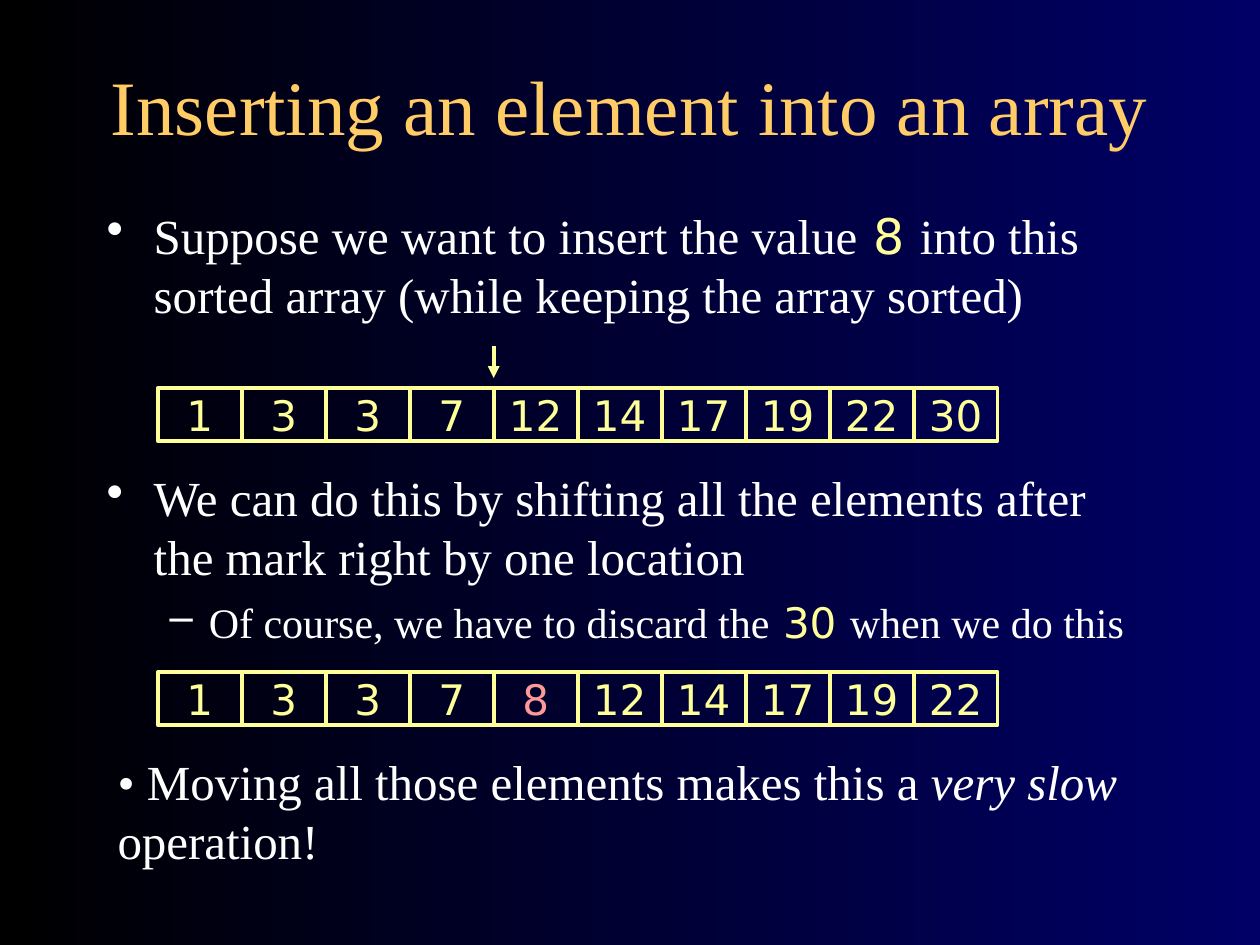
from dataclasses import dataclass

from lxml import etree
from pptx import Presentation
from pptx.dml.color import RGBColor
from pptx.enum.shapes import MSO_CONNECTOR, MSO_SHAPE
from pptx.enum.text import MSO_ANCHOR, PP_ALIGN
from pptx.oxml.ns import qn
from pptx.util import Cm, Pt

RECTANGLE = MSO_SHAPE.RECTANGLE
STRAIGHT = MSO_CONNECTOR.STRAIGHT
MIDDLE = MSO_ANCHOR.MIDDLE
CENTER = PP_ALIGN.CENTER
BLANK_LAYOUT = 6


@dataclass(frozen=True)
class Theme:
    serif: str = "Times New Roman"
    code: str = "DejaVu Sans"
    title_color: str = "FFCC66"
    text_color: str = "FFFFFF"
    code_color: str = "FFFF99"
    new_color: str = "FF9999"
    background: tuple = ("000000", "000066")
    title_size: int = 44
    body_size: int = 28
    detail_size: int = 24
    line_width: float = 2.25


THEME = Theme()
TITLE = {"name": THEME.serif, "size": THEME.title_size, "color": THEME.title_color}
BODY = {"name": THEME.serif, "size": THEME.body_size, "color": THEME.text_color}
DETAIL = {**BODY, "size": THEME.detail_size}
CODE = {"name": THEME.code, "color": THEME.code_color}
CELL = {**CODE, "size": THEME.detail_size}

# Bullet levels in cm, with the space before in points
TOP_LEVEL = {"character": "•", "margin": 0.95, "hanging": 0.95, "before": 7}
SUB_LEVEL = {"character": "–", "margin": 2.06, "hanging": 0.79, "before": 6}

# Array rows in cm
ARRAY_LEFT, ARRAY_WIDTH, CELL_HEIGHT = 3.18, 16.93, 1.06
FIRST_ARRAY = [1, 3, 3, 7, 12, 14, 17, 19, 22, 30]
NEW_VALUE = 8
INSERT_AT = 4
SECOND_ARRAY = FIRST_ARRAY[:INSERT_AT] + [NEW_VALUE] + FIRST_ARRAY[INSERT_AT:-1]
CELL_WIDTH = ARRAY_WIDTH / len(FIRST_ARRAY)


def paint_background(slide):
    fill = slide.background.fill
    fill.gradient()
    fill.gradient_angle = 0
    for stop, color in zip(fill.gradient_stops, THEME.background):
        stop.color.rgb = RGBColor.from_string(color)


def add_run(paragraph, text, font_format):
    run = paragraph.add_run()
    run.text = text
    values = dict(font_format)
    run.font.color.rgb = RGBColor.from_string(values.pop("color"))
    values["size"] = Pt(values["size"])
    for name, value in values.items():
        setattr(run.font, name, value)


def add_bullet(paragraph, level):
    paragraph.space_before = Pt(level["before"])
    properties = paragraph._p.get_or_add_pPr()
    properties.set("marL", str(Cm(level["margin"])))
    properties.set("indent", str(-Cm(level["hanging"])))
    bullet_color = etree.SubElement(properties, qn("a:buClr"))
    etree.SubElement(bullet_color, qn("a:srgbClr"), val=THEME.text_color)
    etree.SubElement(properties, qn("a:buChar"), char=level["character"])


def add_text(slide, box, paragraphs, frame_format=None):
    """Each paragraph is (bullet level or None, paragraph format, runs)."""
    frame = slide.shapes.add_textbox(*map(Cm, box)).text_frame
    for name, value in {"word_wrap": True, **(frame_format or {})}.items():
        setattr(frame, name, value)
    for index, (level, paragraph_format, runs) in enumerate(paragraphs):
        paragraph = frame.add_paragraph() if index else frame.paragraphs[0]
        for name, value in paragraph_format.items():
            setattr(paragraph, name, value)
        if level:
            add_bullet(paragraph, level)
        for text, font_format in runs:
            add_run(paragraph, text, font_format)


def add_cell(group, left, top, value, font_format):
    shape = group.shapes.add_shape(
        RECTANGLE, Cm(left), Cm(top), Cm(CELL_WIDTH), Cm(CELL_HEIGHT))
    shape.shadow.inherit = False
    shape.fill.background()
    shape.line.color.rgb = RGBColor.from_string(THEME.code_color)
    shape.line.width = Pt(THEME.line_width)
    frame = shape.text_frame
    for name, value_set in {"word_wrap": False, "vertical_anchor": MIDDLE}.items():
        setattr(frame, name, value_set)
    paragraph = frame.paragraphs[0]
    paragraph.alignment = CENTER
    add_run(paragraph, str(value), font_format)


def add_array(slide, top, values):
    group = slide.shapes.add_group_shape()
    for index, value in enumerate(values):
        color = THEME.new_color if value == NEW_VALUE else THEME.code_color
        add_cell(group, ARRAY_LEFT + index * CELL_WIDTH, top, value,
                 {**CELL, "color": color})
    return group


def add_arrow(group, x, top, bottom):
    connector = group.shapes.add_connector(
        STRAIGHT, Cm(x), Cm(top), Cm(x), Cm(bottom))
    connector.line.color.rgb = RGBColor.from_string(THEME.code_color)
    connector.line.width = Pt(THEME.line_width)
    etree.SubElement(connector.line._get_or_add_ln(), qn("a:tailEnd"), type="triangle")
    etree.SubElement(connector._element.spPr, qn("a:effectLst"))


def main():
    presentation = Presentation()
    presentation.slide_width, presentation.slide_height = Cm(25.4), Cm(19.05)
    slide = presentation.slides.add_slide(presentation.slide_layouts[BLANK_LAYOUT])
    paint_background(slide)

    # Title
    add_text(slide, (1.9, 0.85, 21.59, 2.54), [
        (None, {"alignment": CENTER}, [("Inserting an element into an array", TITLE)]),
    ], {"vertical_anchor": MIDDLE})

    # Bulleted explanation
    add_text(slide, (1.9, 4.02, 21.59, 3.18), [
        (TOP_LEVEL, {}, [
            ("Suppose we want to insert the value", BODY),
            (" 8 ", {**BODY, **CODE}),
            ("into this sorted array (while keeping the array sorted)", BODY),
        ]),
    ])
    add_text(slide, (1.9, 9.31, 21.59, 4.45), [
        (TOP_LEVEL, {}, [
            ("We can do this by shifting all the elements after "
             "the mark right by one location", BODY),
        ]),
        (SUB_LEVEL, {"level": 1}, [
            ("Of course, we have to discard the", DETAIL),
            (" 30 ", CELL),
            ("when we do this", DETAIL),
        ]),
    ])

    # Array before the insertion, with the mark above it
    first_group = add_array(slide, 7.83, FIRST_ARRAY)
    add_arrow(first_group, ARRAY_LEFT + INSERT_AT * CELL_WIDTH, 6.98, 7.62)

    # Array after the insertion
    add_array(slide, 13.55, SECOND_ARRAY)

    # Conclusion
    add_text(slide, (2.12, 15.03, 22.86, 2.64), [
        (None, {"space_before": Pt(17.5)}, [
            ("• Moving all those elements makes this a ", BODY),
            ("very slow", {**BODY, "italic": True}),
            (" operation!", BODY),
        ]),
    ])

    presentation.save("out.pptx")


if __name__ == "__main__":
    main()
